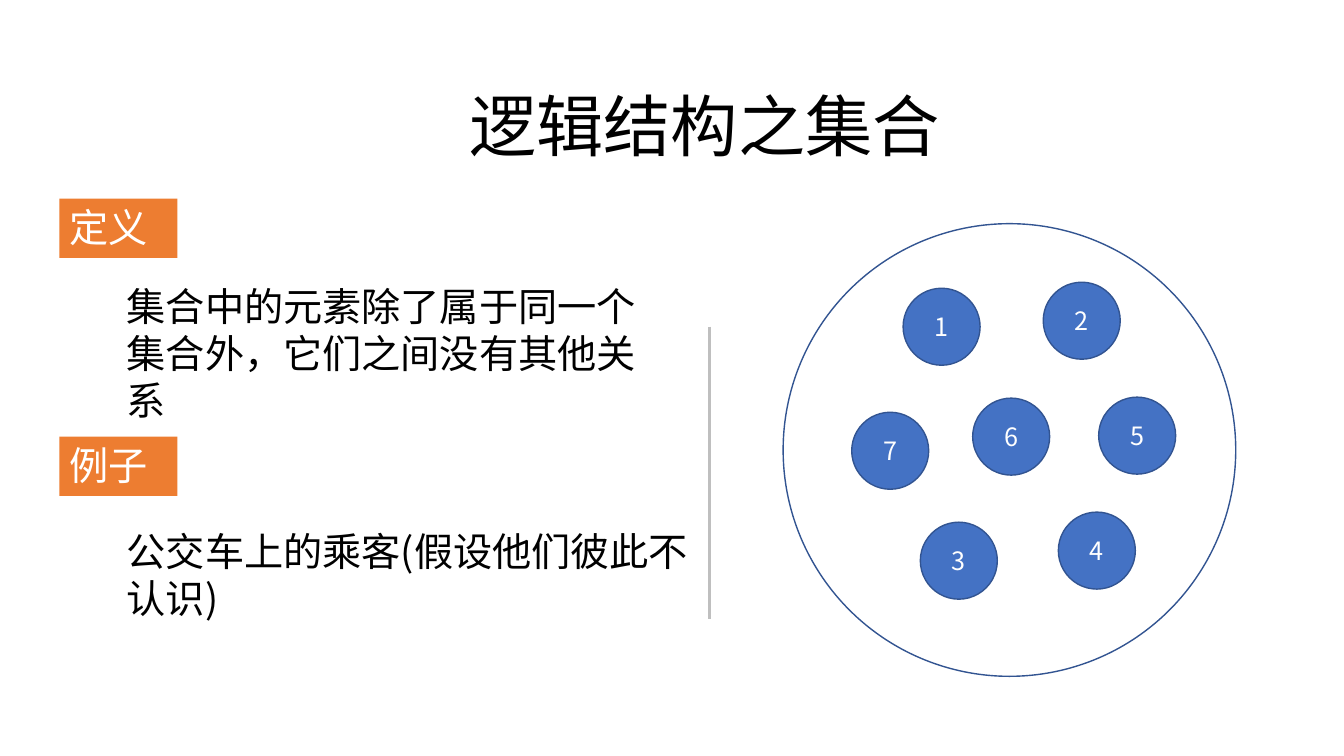
from dataclasses import dataclass
from typing import Optional

from lxml.etree import SubElement
from pptx import Presentation
from pptx.dml.color import RGBColor
from pptx.enum.shapes import MSO_CONNECTOR as Link, MSO_SHAPE as Kind
from pptx.enum.text import MSO_ANCHOR as Anchor, MSO_AUTO_SIZE as Fit, PP_ALIGN as Align
from pptx.oxml.ns import qn
from pptx.shapes.autoshape import Shape
from pptx.slide import Slide
from pptx.util import Pt

FONT = "Noto Sans CJK SC"
BLACK = RGBColor(0x00, 0x00, 0x00)
WHITE = RGBColor(0xFF, 0xFF, 0xFF)
BLUE = RGBColor(0x44, 0x72, 0xC4)
NAVY = RGBColor(0x32, 0x54, 0x91)
ORANGE = RGBColor(0xED, 0x7D, 0x31)
GRAY = RGBColor(0xBF, 0xBF, 0xBF)
DOT = 55


@dataclass
class Box:
    left: float
    top: float
    width: float
    height: float


@dataclass
class Note:
    text: str
    box: Box
    size: float = 28
    align: Align = Align.LEFT


@dataclass
class Node:
    text: str
    left: float
    top: float


NOTES = [
    Note("逻辑结构之集合", Box(198.7, 56.9, 609.1, 65.5), 48, Align.CENTER),
    Note("集合中的元素除了属于同一个集合外，它们之间没有其他关系", Box(83.5, 198, 384.5, 108.7)),
    Note("公交车上的乘客(假设他们彼此不认识)", Box(83.5, 373, 437.8, 74.9)),
]
TAGS = [
    Note("定义", Box(42.5, 141.8, 84.2, 42.5)),
    Note("例子", Box(42.5, 311.8, 84.2, 42.5)),
]
NODES = [
    Node("1", 645.1, 205.9),
    Node("7", 608.4, 294.5),
    Node("3", 657.4, 373),
    Node("2", 745.2, 201.6),
    Node("4", 756, 365.8),
    Node("5", 784.8, 283.7),
    Node("6", 694.8, 284.4),
]


def write(shape: Shape, text: str, size: float, color: RGBColor, align: Align) -> None:
    frame = shape.text_frame
    frame.word_wrap = True
    para = frame.paragraphs[0]
    para.alignment = align
    run = para.add_run()
    run.text = text
    font = run.font
    font.size = Pt(size)
    font.name = FONT
    font.color.rgb = color
    SubElement(font._element, qn("a:ea")).set("typeface", FONT)


def fill_note(shape: Shape, note: Note, color: RGBColor) -> None:
    write(shape, note.text, note.size, color, note.align)
    shape.text_frame.vertical_anchor = Anchor.TOP
    shape.text_frame.auto_size = Fit.SHAPE_TO_FIT_TEXT


def add_note(slide: Slide, note: Note) -> None:
    box = note.box
    shape = slide.shapes.add_textbox(Pt(box.left), Pt(box.top), Pt(box.width), Pt(box.height))
    fill_note(shape, note, BLACK)


def add_form(slide: Slide, kind: Kind, box: Box, fill: Optional[RGBColor],
             line: Optional[RGBColor]) -> Shape:
    shape = slide.shapes.add_shape(kind, Pt(box.left), Pt(box.top), Pt(box.width), Pt(box.height))
    shape.shadow.inherit = False
    if fill is None:
        shape.fill.background()
    else:
        shape.fill.solid()
        shape.fill.fore_color.rgb = fill
    if line is None:
        shape.line.fill.background()
    else:
        shape.line.color.rgb = line
        shape.line.width = Pt(1)
    return shape


def add_node(slide: Slide, node: Node) -> None:
    shape = add_form(slide, Kind.OVAL, Box(node.left, node.top, DOT, DOT), BLUE, NAVY)
    write(shape, node.text, 18, WHITE, Align.CENTER)
    shape.text_frame.vertical_anchor = Anchor.MIDDLE


def add_tag(slide: Slide, tag: Note) -> None:
    fill_note(add_form(slide, Kind.RECTANGLE, tag.box, ORANGE, None), tag, WHITE)


def add_rule(slide: Slide, left: float, top: float, end: float) -> None:
    rule = slide.shapes.add_connector(Link.STRAIGHT, Pt(left), Pt(top), Pt(left), Pt(end))
    rule.line.color.rgb = GRAY
    rule.line.width = Pt(2)
    SubElement(rule._element.spPr, qn("a:effectLst"))


def main() -> None:
    deck = Presentation()
    deck.slide_width = Pt(960)
    deck.slide_height = Pt(540)
    slide = deck.slides.add_slide(deck.slide_layouts[6])
    title, sense, case = NOTES
    add_note(slide, title)
    add_note(slide, sense)
    add_form(slide, Kind.OVAL, Box(559.4, 159.8, 323.3, 323.3), None, NAVY)
    for node in NODES:
        add_node(slide, node)
    add_note(slide, case)
    add_rule(slide, 506.9, 233.3, 442.1)
    for tag in TAGS:
        add_tag(slide, tag)
    deck.save("out.pptx")


if __name__ == "__main__":
    main()
